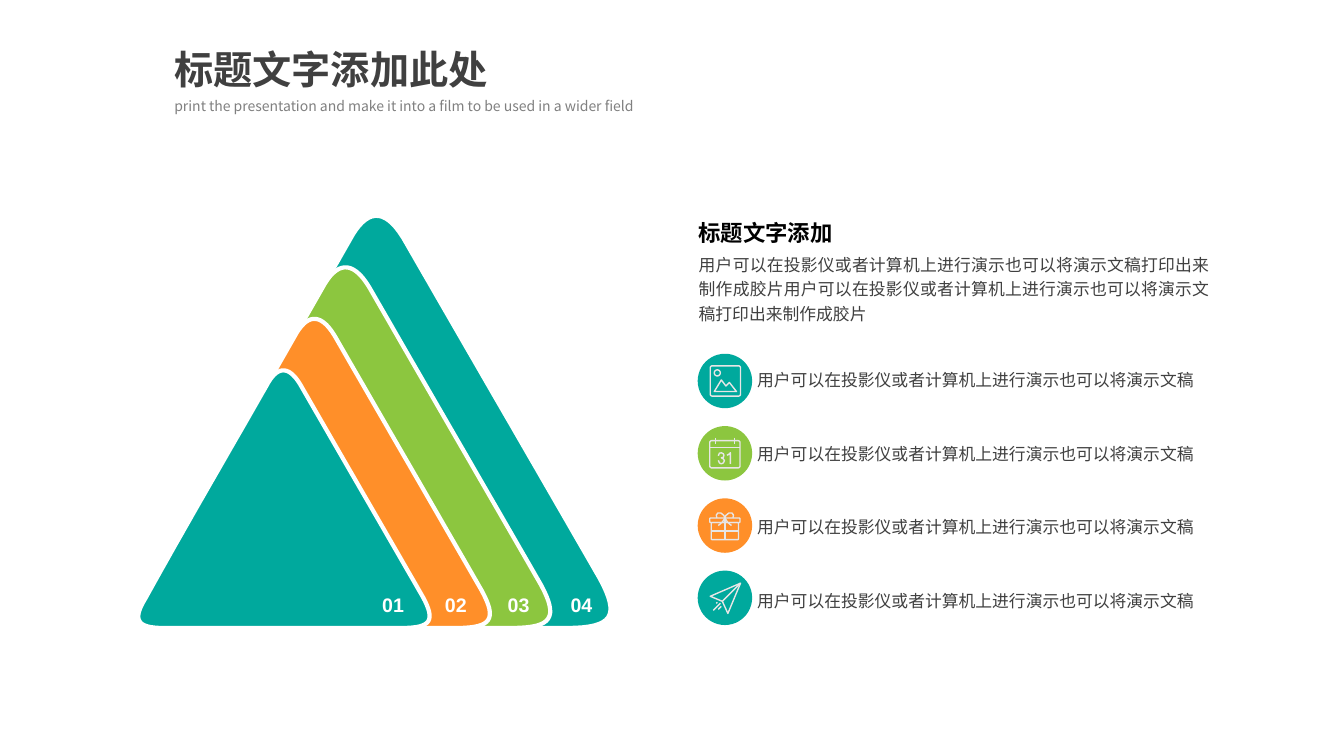
from math import cos, pi, sin

from lxml import etree
from pptx import Presentation
from pptx.dml.color import RGBColor
from pptx.enum.shapes import MSO_SHAPE as SHAPE
from pptx.enum.text import MSO_AUTO_SIZE as FIT, PP_ALIGN as ALIGN
from pptx.oxml.ns import qn
from pptx.util import Inches, Pt

COLORS = {
    "teal": "00A99D", "green": "8CC63F", "orange": "FF8F29",
    "white": "FFFFFF", "icon": "E7E6E6",
    "black": "000000", "dark": "404040", "gray": "808080",
}
CJK = "Noto Sans CJK SC"

# Rounded triangle: start point, then Bezier segments (two controls, end)
TRIANGLE_START = (3.72, 6.23)
TRIANGLE_CURVES = [
    ((3.1, 6.23), (2.47, 6.23), (1.82, 6.23)),
    ((1.43, 6.23), (1.33, 6.11), (1.54, 5.77)),
    ((2.17, 4.63), (2.82, 3.52), (3.47, 2.38)),
    ((3.63, 2.08), (3.81, 2.05), (4, 2.36)),
    ((4.65, 3.49), (5.3, 4.61), (5.95, 5.74)),
    ((6.15, 6.11), (6.08, 6.23), (5.62, 6.23)),
    ((5, 6.23), (4.37, 6.23), (3.72, 6.23)),
]
TRIANGLE_LEFT, TRIANGLE_BASE = 1.43, 6.23


def triangle_points(steps=16):
    points, p0 = [TRIANGLE_START], TRIANGLE_START
    for p1, p2, p3 in TRIANGLE_CURVES:
        for i in range(1, steps + 1):
            t = i / steps
            u = 1 - t
            points.append(tuple(
                u**3 * a + 3 * u * u * t * b + 3 * u * t * t * c + t**3 * d
                for a, b, c, d in zip(p0, p1, p2, p3)))
        p0 = p3
    return points


def rounded_box(x, y, w, h, r, steps=6):
    """Closed outline with round corners; a circle when r is half the width."""
    corners = [(x + w - r, y + h - r), (x + r, y + h - r),
               (x + r, y + r), (x + w - r, y + r)]
    points = []
    for quarter, (cx, cy) in enumerate(corners):
        for i in range(steps + 1):
            angle = (quarter + i / steps) * pi / 2
            points.append((cx + r * cos(angle), cy + r * sin(angle)))
    return points + points[:1]


def mirrored(points, axis=27):
    return [(2 * axis - x, y) for x, y in points]


# Icon strokes, in hundredths of an inch from the badge corner
BOW = [(27, 19.5), (26, 17), (23, 14.5), (20, 14.5), (18.5, 16.5), (19, 19.5)]
RIBBON = [(27, 19.5), (24.5, 23.5), (20.5, 27)]
PHOTO = [
    rounded_box(12.5, 12, 30, 30, 2),
    rounded_box(16.5, 16, 6, 6, 3),
    [(16.5, 37.5), (23.5, 26), (28, 32), (31.5, 28.5), (38.5, 37.5), (16.5, 37.5)],
]
CALENDAR = [
    rounded_box(12, 14.5, 30, 27, 2),
    [(12, 21.5), (42, 21.5)],
    [(17.5, 11.5), (17.5, 17.5)],
    [(36.5, 11.5), (36.5, 17.5)],
    [(20.5, 29.5), (21.5, 27), (23.5, 26.5), (25.5, 27.5), (26, 29), (25.5, 31),
     (23.5, 31.5), (25.5, 32.5), (26.5, 34.5), (25.5, 36.5), (23.5, 37.5),
     (21.5, 36.5), (20.5, 34)],
    [(29, 29), (31, 28), (32.5, 26.5), (32.5, 37.5)],
]
GIFT = [
    rounded_box(12, 19.5, 30, 4.5, 1),
    rounded_box(13.5, 24, 27, 17, 1),
    [(27, 19.5), (27, 41)],
    [(13.5, 32.5), (40.5, 32.5)],
    BOW, mirrored(BOW), RIBBON, mirrored(RIBBON),
]
PLANE = [
    [(12.5, 25.5), (42.5, 12.5), (30, 42.5), (24.5, 30.5), (12.5, 25.5)],
    [(24.5, 30.5), (42.5, 12.5)],
    [(15.5, 39.5), (22.5, 32.5)],
    [(20.5, 38.5), (23.5, 35.5)],
    [(18.5, 32.5), (19.5, 31.5)],
]


class Deck:
    def __init__(self, slide):
        self.slide = slide

    def color(self, name):
        return RGBColor.from_string(COLORS[name])

    def style(self, s, fill=None, line=None, width=1):
        s.shadow.inherit = False
        if fill:
            s.fill.solid()
            s.fill.fore_color.rgb = self.color(fill)
        else:
            s.fill.background()
        if line:
            s.line.color.rgb = self.color(line)
            s.line.width = Pt(width)
        else:
            s.line.fill.background()

    def outline(self, contours, **look):
        contours = [[(Inches(x), Inches(y)) for x, y in c] for c in contours]
        builder = self.slide.shapes.build_freeform(*contours[0][0], scale=1.0)
        for i, points in enumerate(contours):
            if i:
                builder.move_to(*points[0])
            builder.add_line_segments(points[1:], close=points[0] == points[-1])
        self.style(builder.convert_to_shape(), **look)

    def badge(self, left, top, fill, icon):
        s = self.slide.shapes.add_shape(
            SHAPE.OVAL, Inches(left), Inches(top), Inches(0.54), Inches(0.54))
        self.style(s, fill=fill)
        self.outline([[(left + x / 100, top + y / 100) for x, y in c] for c in icon],
                     line="icon")

    def text(self, box, words, size, color, font=CJK, bold=False, spacing=None,
             align=None, grow=True):
        tf = self.slide.shapes.add_textbox(*map(Inches, box)).text_frame
        tf.word_wrap = True
        tf.auto_size = FIT.SHAPE_TO_FIT_TEXT if grow else FIT.NONE
        tf.margin_left = tf.margin_right = Inches(0.05)
        tf.margin_top = tf.margin_bottom = Inches(0.05)
        tf.text = words
        p = tf.paragraphs[0]
        p.alignment = align
        p.line_spacing = spacing
        r = p.runs[0]
        r.font.size, r.font.bold, r.font.name = Pt(size), bold, font
        r.font.color.rgb = self.color(color)
        etree.SubElement(r.font._element, qn("a:ea")).set("typeface", font)


def main():
    prs = Presentation()
    prs.slide_width, prs.slide_height = Inches(13.33), Inches(7.5)
    deck = Deck(prs.slides.add_slide(prs.slide_layouts[6]))

    # Nested triangles, largest at the back
    points = triangle_points()
    for i, fill in enumerate(["teal", "green", "orange", "teal"]):
        scale, left = 1 - i / 8, TRIANGLE_LEFT - 0.02 * i
        deck.outline([[(left + (x - TRIANGLE_LEFT) * scale,
                        TRIANGLE_BASE - (TRIANGLE_BASE - y) * scale)
                       for x, y in points]], fill=fill, line="white", width=3)
    for i in range(4):
        deck.text((3.74 + 0.623 * i, 5.88, 0.64, 0.33), f"0{i + 1}", 14, "white",
                  font="Arial", bold=True, spacing=0.8, grow=False)

    # Slide title
    deck.text((1.68, 0.4, 3.6, 0.66), "标题文字添加此处", 28, "dark", bold=True)
    deck.text((1.68, 0.89, 5.34, 0.27),
              "print the presentation and make it into a film to be used in a wider field",
              10, "gray", spacing=1.2)

    # Introduction
    body = {"spacing": 1.2, "align": ALIGN.JUSTIFY}
    sentence = "用户可以在投影仪或者计算机上进行演示也可以将演示文稿"
    deck.text((6.88, 2.44, 5.17, 0.9), (sentence + "打印出来制作成胶片") * 2,
              12, "dark", **body)
    deck.text((6.88, 2.07, 2.24, 0.41), "标题文字添加", 16, "black", bold=True, **body)

    # Icon rows
    rows = [("teal", PHOTO), ("green", CALENDAR), ("orange", GIFT), ("teal", PLANE)]
    for i, (fill, icon) in enumerate(rows):
        deck.badge(6.92, 3.51 + 0.717 * i, fill, icon)
        deck.text((7.46, 3.58 + 0.73 * i, 4.59, 0.34), sentence, 12, "dark", **body)

    prs.save("out.pptx")


if __name__ == "__main__":
    main()
